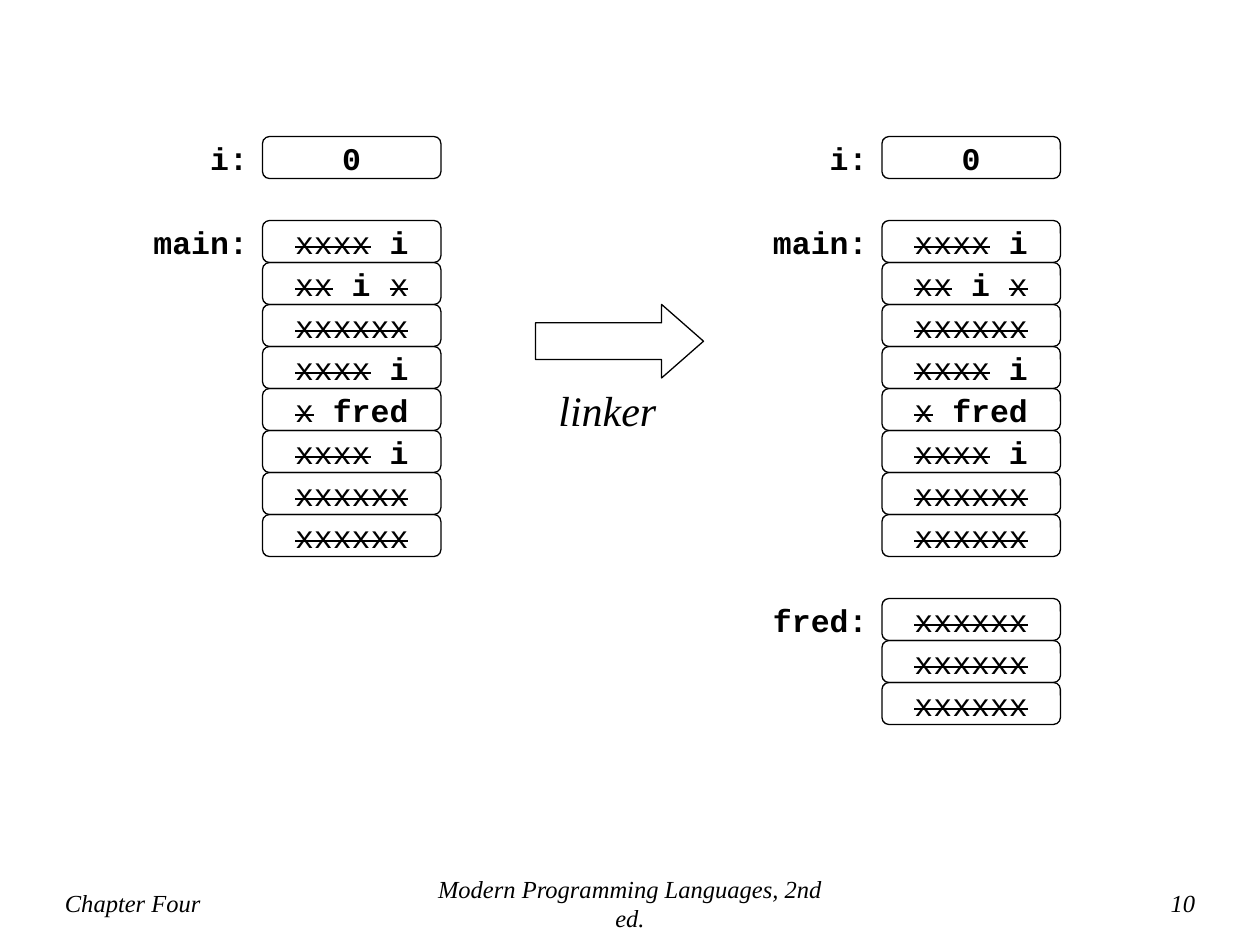
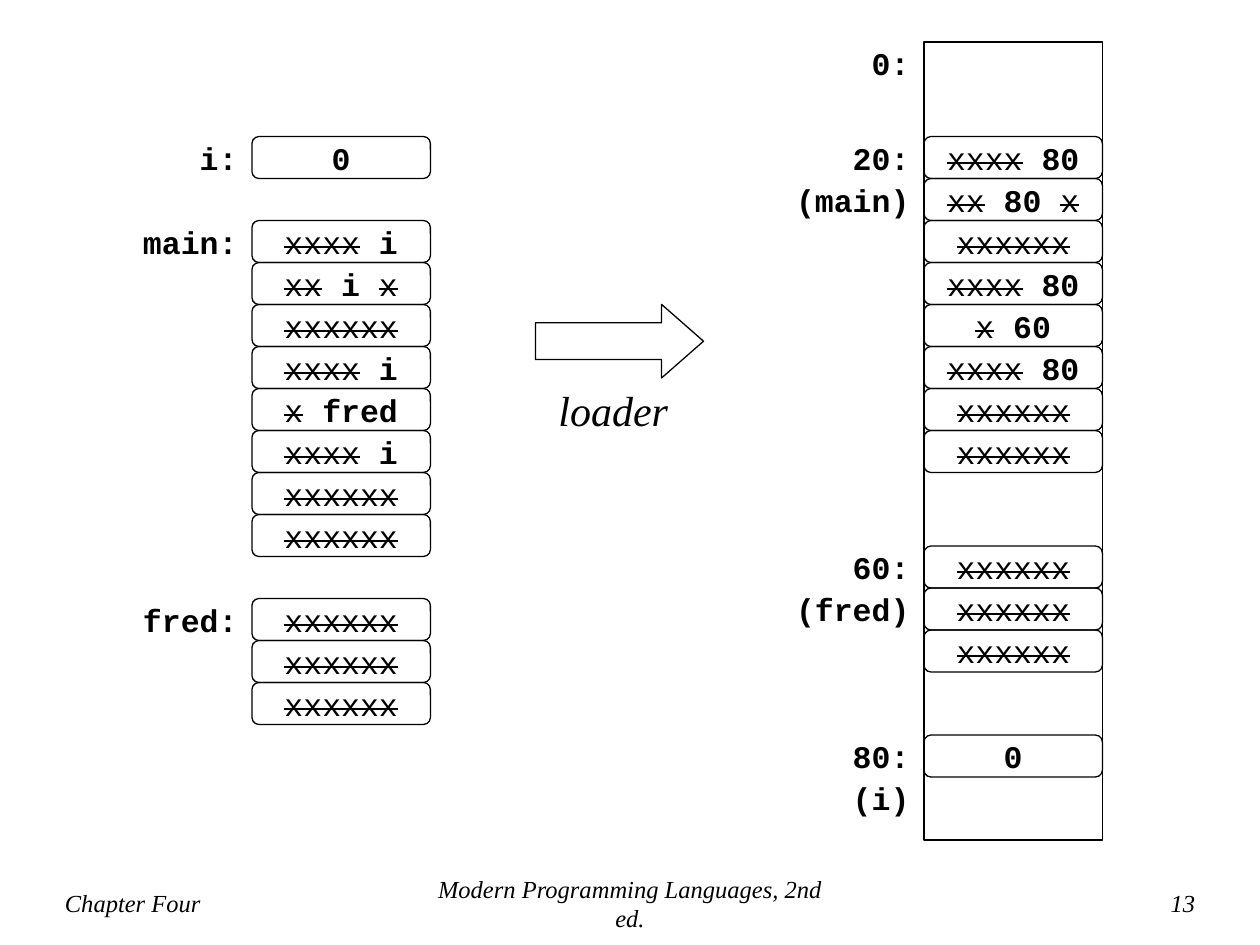
from dataclasses import dataclass

from pptx import Presentation
from pptx.dml.color import RGBColor
from pptx.enum.shapes import MSO_SHAPE as Shape
from pptx.enum.text import MSO_ANCHOR as Anchor, PP_ALIGN as Align
from pptx.util import Inches, Pt


@dataclass(frozen=True)
class Theme:
    ink: RGBColor = RGBColor(0, 0, 0)
    paper: RGBColor = RGBColor(255, 255, 255)
    code_font: str = "Courier New"
    text_font: str = "Times New Roman"
    code_size: int = 18
    step_size: int = 24
    footer_size: int = 14
    line_width: float = 0.75


THEME = Theme()

# All lengths are in grid units, twelve to the inch.
UNITS_PER_INCH = 12
CELL_WIDTH, CELL_HEIGHT = 17, 4
STEP_ARROW = (51, 29, 16, 7)
STEP_NAME = (52, 36, 13, 6)
FOOTER_TOP, FOOTER_HEIGHT = 83, 6

BOOK = "Modern Programming Languages, 2nd ed."
CHAPTER = "Chapter Four"


def main_words(i, fred):
    """Machine words of main, with the given references to i and fred."""
    return [f"xxxx {i}", f"xx {i} x", "xxxxxx", f"xxxx {i}",
            f"x {fred}", f"xxxx {i}", "xxxxxx", "xxxxxx"]


FRED_WORDS = ["xxxxxx"] * 3

# Each block: top, label lines, cells
OBJECT_CODE = [
    (13, ["i:"], ["0"]),
    (21, ["main:"], main_words("i", "fred")),
]
LINKED_CODE = OBJECT_CODE + [(57, ["fred:"], FRED_WORDS)]
MEMORY = [
    (4, ["0:"], []),
    (13, ["20:", "(main)"], main_words("80", "60")),
    (52, ["60:", "(fred)"], FRED_WORDS),
    (70, ["80:", "(i)"], ["0"]),
]
MEMORY_TOP, MEMORY_HEIGHT = 4, 76

# Each column: left, blocks, whether a memory frame surrounds it
SLIDES = [
    {"number": "10", "step": "linker",
     "columns": [(25, OBJECT_CODE, False), (84, LINKED_CODE, False)]},
    {"number": "13", "step": "loader",
     "columns": [(24, LINKED_CODE, False), (88, MEMORY, True)]},
]


def units(*lengths):
    return [Inches(length / UNITS_PER_INCH) for length in lengths]


def code_spans(text):
    """Strike out the irrelevant words (all x) and embolden the others."""
    spans = []
    for index, word in enumerate(text.split()):
        if index:
            spans.append((" ", {}))
        struck = set(word) == {"x"}
        spans.append((word, {"strike": struck, "bold": not struck}))
    return spans


def write(box, spans, *, font, size, align=Align.LEFT, italic=False,
          anchor=Anchor.MIDDLE, wrap=True):
    frame = box.text_frame
    frame.word_wrap = wrap
    frame.vertical_anchor = anchor
    para = frame.paragraphs[0]
    para.alignment = align
    for text, style in spans:
        span = para.add_run()
        span.text = text
        span.font.name = font
        span.font.size = Pt(size)
        span.font.color.rgb = THEME.ink
        span.font.italic = italic
        span.font.bold = style.get("bold", False)
        if style.get("strike"):
            span.font._element.set("strike", "sngStrike")


def add_outline(shapes, kind, bounds, lined=True):
    shape = shapes.add_shape(kind, *units(*bounds))
    shape.shadow.inherit = False
    shape.fill.background()
    if lined:
        shape.line.color.rgb = THEME.ink
        shape.line.width = Pt(THEME.line_width)
    else:
        shape.line.fill.background()
    return shape


def add_stack(shapes, left, top, texts, align, lined):
    for row, text in enumerate(texts):
        bounds = (left, top + row * CELL_HEIGHT, CELL_WIDTH, CELL_HEIGHT)
        cell = add_outline(shapes, Shape.ROUNDED_RECTANGLE, bounds, lined)
        write(cell, code_spans(text), font=THEME.code_font,
              size=THEME.code_size, align=align)


def add_column(slide, left, blocks, framed):
    shapes = slide.shapes.add_group_shape().shapes
    for top, labels, cells in blocks:
        add_stack(shapes, left, top, cells, Align.CENTER, True)
        add_stack(shapes, left - CELL_WIDTH, top, labels, Align.RIGHT, False)
    if framed:
        add_outline(shapes, Shape.RECTANGLE,
                    (left, MEMORY_TOP, CELL_WIDTH, MEMORY_HEIGHT))


def add_footer(slide, number):
    parts = [(5, 27, CHAPTER, Align.LEFT), (40, 40, BOOK, Align.CENTER),
             (90, 25, number, Align.RIGHT)]
    for left, width, text, align in parts:
        box = slide.shapes.add_textbox(
            *units(left, FOOTER_TOP, width, FOOTER_HEIGHT))
        write(box, [(text, {})], font=THEME.text_font, size=THEME.footer_size,
              align=align, italic=True, wrap=False)


def add_step(slide, name):
    box = slide.shapes.add_textbox(*units(*STEP_NAME))
    write(box, [(name, {})], font=THEME.text_font, size=THEME.step_size,
          italic=True, anchor=Anchor.TOP)
    arrow = add_outline(slide.shapes, Shape.RIGHT_ARROW, STEP_ARROW)
    arrow.adjustments[0] = 0.5
    arrow.adjustments[1] = 0.57


def main():
    deck = Presentation()
    deck.slide_width, deck.slide_height = Inches(10), Inches(7.5)
    background = deck.slide_master.background.fill
    background.solid()
    background.fore_color.rgb = THEME.paper
    blank = deck.slide_layouts.get_by_name("Blank")
    for page in SLIDES:
        slide = deck.slides.add_slide(blank)
        add_footer(slide, page["number"])
        add_step(slide, page["step"])
        for column in page["columns"]:
            add_column(slide, *column)
    deck.save("out.pptx")


if __name__ == "__main__":
    main()
